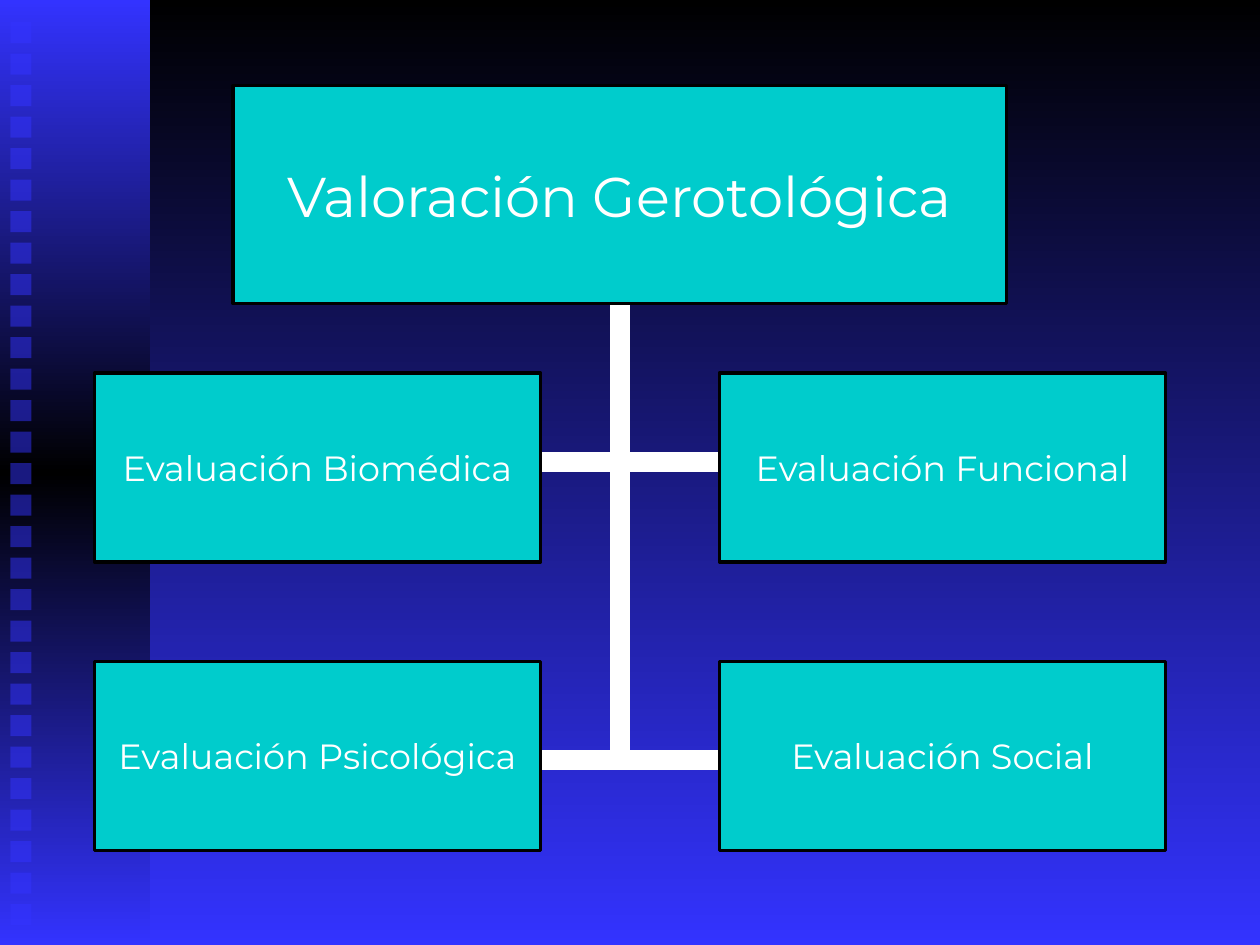
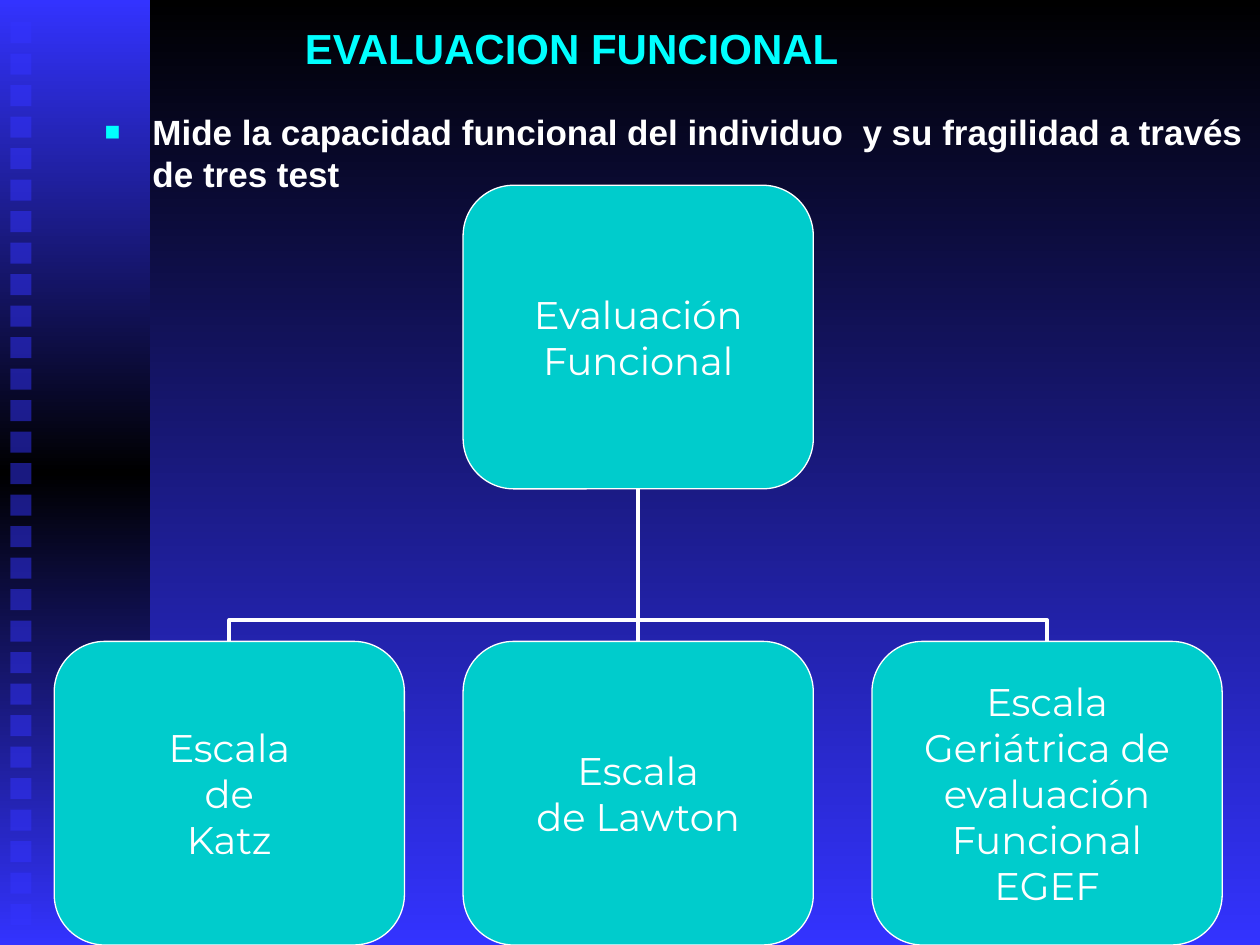
from dataclasses import dataclass

from pptx import Presentation
from pptx.dml.color import RGBColor
from pptx.enum.shapes import MSO_CONNECTOR, MSO_SHAPE
from pptx.enum.text import MSO_ANCHOR, MSO_AUTO_SIZE, PP_ALIGN
from pptx.oxml.ns import qn
from pptx.util import Emu, Inches, Pt

RECT, ROUNDED = MSO_SHAPE.RECTANGLE, MSO_SHAPE.ROUNDED_RECTANGLE
STRAIGHT, ELBOW = MSO_CONNECTOR.STRAIGHT, MSO_CONNECTOR.ELBOW
LEFT, CENTER = PP_ALIGN.LEFT, PP_ALIGN.CENTER
TOP, MIDDLE = MSO_ANCHOR.TOP, MSO_ANCHOR.MIDDLE
BOTTOM_SIDE, TOP_SIDE = 2, 0

COLORS = {"night": "000000", "blue": "3333FF", "teal": "00CCCC",
          "cyan": "00FFFF", "white": "FFFFFF"}
HEADING_FONT, BOX_FONT = "Arial", "Montserrat"

# The slide is a grid of 40 columns by 30 rows
COLUMNS, ROWS = 40, 30
CELL = Inches(0.25)


@dataclass(frozen=True)
class Area:
    """A rectangle in grid columns and rows."""
    col: float
    row: float
    cols: float
    rows: float

    @property
    def center(self) -> float:
        return self.col + self.cols / 2

    @property
    def bottom(self) -> float:
        return self.row + self.rows

    def emu(self) -> list[Emu]:
        return [cells(n) for n in (self.col, self.row, self.cols, self.rows)]


@dataclass(frozen=True)
class BoxStyle:
    shape: int
    border: str
    border_width: float
    size: float
    inset: float = 0


def cells(count: float) -> Emu:
    return Emu(round(count * CELL))


def rgb(name: str) -> RGBColor:
    return RGBColor.from_string(COLORS[name])


def place(shape, area: Area) -> None:
    shape.left, shape.top, shape.width, shape.height = area.emu()


def fill_downward(fill, element, names: list[str]) -> None:
    """Vertical gradient through evenly spaced colours."""
    fill.gradient()
    fill.gradient_angle = 270
    stops = element.find(".//" + qn("a:gsLst"))
    stops.clear()
    for i, name in enumerate(names):
        stop = stops.makeelement(qn("a:gs"), {"pos": str(100000 * i // (len(names) - 1))})
        stops.append(stop)
        color = stop.makeelement(qn("a:srgbClr"), {"val": COLORS[name]})
        stop.append(color)


def add_plain(shapes, kind: int, area: Area):
    shape = shapes.add_shape(kind, *area.emu())
    shape.shadow.inherit = False
    shape.line.fill.background()
    return shape


def decorate_master(prs, slide) -> None:
    """Background, side band and its column of squares, shared by all slides."""
    master = prs.slide_master
    fill_downward(master.background.fill, master.element, ["night", "blue"])

    decoration = slide.shapes.add_group_shape()
    band = add_plain(decoration.shapes, RECT, Area(0, 0, 4.76, ROWS))
    fill_downward(band.fill, band.element, ["blue", "night", "blue"])
    for i in range(ROWS - 1):
        square = add_plain(decoration.shapes, RECT, Area(0.33, 0.7 + i, 0.67, 0.67))
        square.fill.solid()
        square.fill.fore_color.rgb = rgb("blue")
        color = square.element.find(".//" + qn("a:srgbClr"))
        color.append(color.makeelement(qn("a:alpha"), {"val": "50000"}))

    for number, props in enumerate(decoration.element.iter(qn("p:cNvPr")), 100):
        props.set("id", str(number))
    master.shapes.element.insert(2, decoration.element)


def format_runs(paragraph, font: str, size: float, color: str, bold: bool = False) -> None:
    for run in paragraph.runs:
        run.font.name, run.font.size, run.font.bold = font, Pt(size), bold
        run.font.color.rgb = rgb(color)


def add_box(slide, area: Area, lines: str, style: BoxStyle):
    box = add_plain(slide.shapes, style.shape, area)
    box.fill.solid()
    box.fill.fore_color.rgb = rgb("teal")
    box.line.color.rgb = rgb(style.border)
    box.line.width = Pt(style.border_width)
    frame = box.text_frame
    frame.word_wrap = False
    frame.vertical_anchor = MIDDLE
    frame.margin_left = frame.margin_right = Inches(style.inset)
    frame.margin_top = frame.margin_bottom = Inches(style.inset / 2)
    frame.text = lines
    for paragraph in frame.paragraphs:
        paragraph.alignment = CENTER
        format_runs(paragraph, BOX_FONT, style.size, "white")
    return box


def add_line(slide, start: tuple, end: tuple, width: float, kind: int = STRAIGHT):
    line = slide.shapes.add_connector(kind, *map(cells, start + end))
    line.line.color.rgb = rgb("white")
    line.line.width = Pt(width)
    props = line.element.spPr
    props.append(props.makeelement(qn("a:effectLst"), {}))
    return line


def add_branch(slide, child: Area, parent: Area, width: float) -> None:
    """Elbow from the top of a child up to the bottom of its parent."""
    start, end = (child.center, child.row), (parent.center, parent.bottom)
    branch = add_line(slide, start, end, width, ELBOW)
    rise, run = start[1] - end[1], abs(start[0] - end[0])
    on_left = start[0] < end[0]
    place(branch, Area((start[0] + end[0] - rise) / 2,
                       (start[1] + end[1] - run) / 2, rise, run))
    frame = branch.element.spPr.find(qn("a:xfrm"))
    frame.set("rot", str((90 if on_left else 270) * 60000))
    frame.set("flipH", "1" if on_left else "0")
    frame.set("flipV", "1")
    adjustments = branch.element.find(".//" + qn("a:avLst"))
    adjustments.append(adjustments.makeelement(
        qn("a:gd"), {"name": "adj1", "fmla": "val 13900"}))


def add_bullet(paragraph) -> None:
    props = paragraph._p.get_or_add_pPr()
    props.set("marL", str(Inches(0.38)))
    props.set("indent", str(-Inches(0.38)))
    color = props.makeelement(qn("a:buClr"), {})
    color.append(color.makeelement(qn("a:srgbClr"), {"val": COLORS["cyan"]}))
    props.append(color)
    for tag, attributes in (("a:buSzPct", {"val": "75000"}),
                            ("a:buFont", {"typeface": HEADING_FONT}),
                            ("a:buChar", {"char": "■"})):
        props.append(props.makeelement(qn(tag), attributes))


def fill_placeholder(holder, area: Area, text: str, anchor: int):
    place(holder, area)
    frame = holder.text_frame
    frame.auto_size = MSO_AUTO_SIZE.NONE
    frame.vertical_anchor = anchor
    frame.text = text
    paragraph = frame.paragraphs[0]
    paragraph.alignment = LEFT
    paragraph.space_before = Pt(0)
    return paragraph


def build_assessment(slide) -> None:
    # Thick trunk and crossbars behind the boxes
    for start, end in (((15.6, 24.12), (24.72, 24.12)),
                       ((16.52, 14.68), (25.68, 14.68)),
                       ((19.68, 8.4), (19.68, 24.44))):
        add_line(slide, start, end, 11.5)

    # Main box and a two by two grid of evaluations
    add_box(slide, Area(7.4, 2.72, 24.56, 6.92), "Valoración Gerotológica",
            BoxStyle(RECT, "night", 2, 32, 0.1))
    evaluation_style = BoxStyle(RECT, "night", 2, 20, 0.1)
    evaluations = ["Biomédica", "Funcional", "Psicológica", "Social"]
    for i, evaluation in enumerate(evaluations):
        row, col = divmod(i, 2)
        add_box(slide, Area(3 + 19.84 * col, 11.84 + 9.16 * row, 14.16, 6),
                f"Evaluación {evaluation}", evaluation_style)


def build_functional(slide) -> None:
    # Title and statement
    title = fill_placeholder(slide.shapes.title, Area(9.28, 0, 27.2, 3.04),
                             "EVALUACION FUNCIONAL", MIDDLE)
    format_runs(title, HEADING_FONT, 24, "cyan", True)
    statement = fill_placeholder(
        slide.placeholders[1], Area(2.92, 3.32, 37.08, 23.2),
        "Mide la capacidad funcional del individuo  y su fragilidad a través de tres test", TOP)
    add_bullet(statement)
    format_runs(statement, HEADING_FONT, 20, "white", True)

    # Evaluation above its three scales
    style = BoxStyle(ROUNDED, "white", 0.75, 22)
    width, height, step = 11.12, 9.64, 12.98
    parent = Area(1.72 + step, 5.88, width, height)
    scales = [Area(1.72 + step * i, ROWS - height, width, height) for i in range(3)]
    katz, lawton, egef = scales
    for scale in (egef, katz):
        add_branch(slide, scale, parent, 2.25)
    evaluation_box = add_box(slide, parent, "Evaluación\nFuncional", style)
    texts = ["Escala\nde\nKatz", "Escala\nde Lawton",
             "Escala\nGeriátrica de\nevaluación\nFuncional\nEGEF"]
    _, lawton_box, _ = [add_box(slide, area, text, style)
                        for area, text in zip(scales, texts)]
    stem = add_line(slide, (lawton.center, lawton.row),
                    (parent.center, parent.bottom), 2.25)
    stem.begin_connect(lawton_box, TOP_SIDE)
    stem.end_connect(evaluation_box, BOTTOM_SIDE)


def main() -> None:
    prs = Presentation()
    prs.slide_width, prs.slide_height = cells(COLUMNS), cells(ROWS)
    assessment = prs.slides.add_slide(prs.slide_layouts[6])
    decorate_master(prs, assessment)
    build_assessment(assessment)
    build_functional(prs.slides.add_slide(prs.slide_layouts[1]))
    prs.save("out.pptx")


if __name__ == "__main__":
    main()
